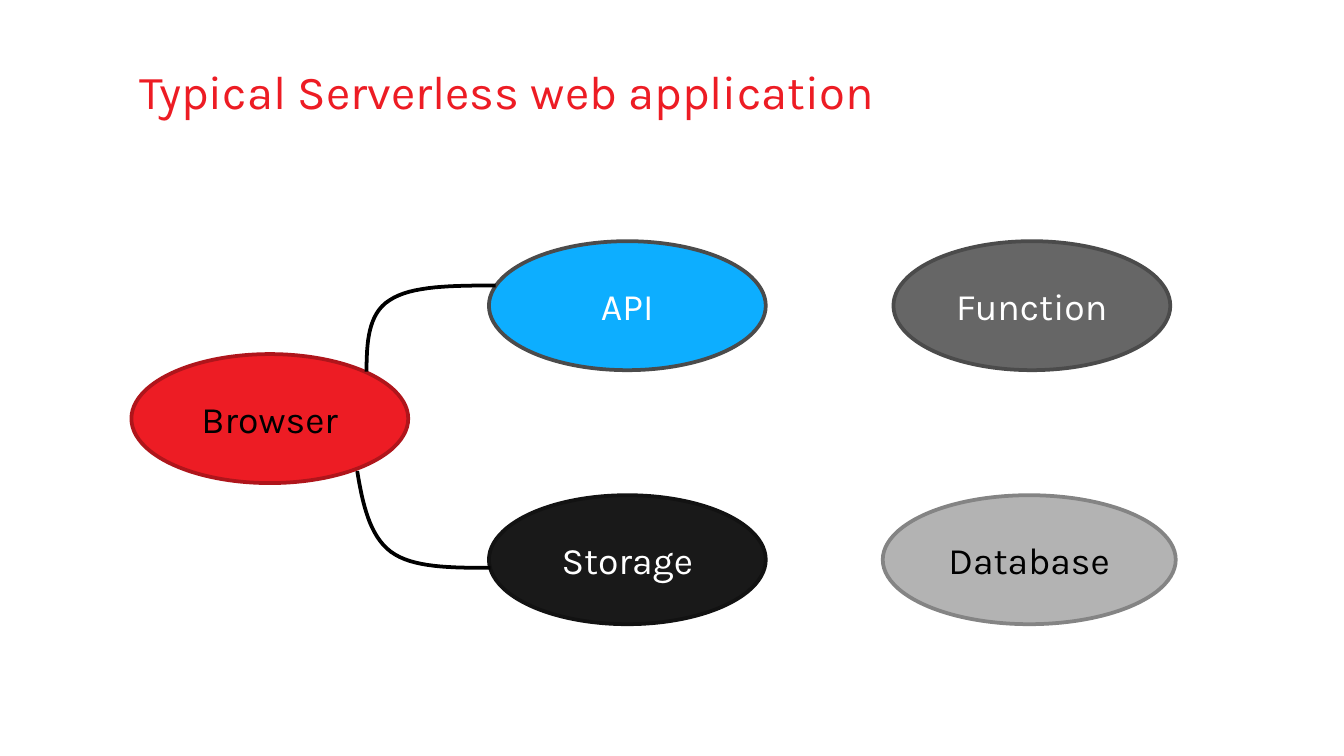
from pptx import Presentation
from pptx.dml.color import RGBColor
from pptx.enum.shapes import MSO_SHAPE
from pptx.enum.text import MSO_ANCHOR, MSO_AUTO_SIZE, PP_ALIGN
from pptx.util import Inches, Pt

ELLIPSE = MSO_SHAPE.OVAL
MIDDLE = MSO_ANCHOR.MIDDLE
NO_AUTOFIT = MSO_AUTO_SIZE.NONE
LEFT, CENTER = PP_ALIGN.LEFT, PP_ALIGN.CENTER

COLORS = {
    "white": "FFFFFF",
    "black": "000000",
    "red": "ED1C24",
    "dark red": "AF151B",
    "blue": "0DAEFF",
    "charcoal": "191919",
    "deep charcoal": "121212",
    "gray": "666666",
    "dark gray": "4B4B4B",
    "light gray": "B3B3B3",
    "mid gray": "848484",
}
FONT = "Karla"
SLIDE_WIDTH = Inches(10)
SLIDE_HEIGHT = SLIDE_WIDTH * 9 // 16
CELL = SLIDE_WIDTH // 100
TITLE_BOX = (9.75, 4.35, 80.5, 4.8)
DIAGRAM_BOX = (9.78, 17.95, 77.7, 28.5)
NODE_WIDTH, WIDE_NODE_WIDTH, NODE_HEIGHT = 20.6, 21.8, 9.6
TOP_ROW, BROWSER_ROW, BOTTOM_ROW = 0, 8.4, 18.9
SERVICE_COLUMN, DATABASE_COLUMN, FUNCTION_COLUMN = 26.6, 55.9, 56.7
CURVE_STEPS = 16

NODES = [
    ("Browser", 0, BROWSER_ROW, NODE_WIDTH, "red", "dark red", "black"),
    ("Storage", SERVICE_COLUMN, BOTTOM_ROW, NODE_WIDTH, "charcoal", "deep charcoal", "white"),
    ("API", SERVICE_COLUMN, TOP_ROW, NODE_WIDTH, "blue", "dark gray", "white"),
    ("Database", DATABASE_COLUMN, BOTTOM_ROW, WIDE_NODE_WIDTH, "light gray", "mid gray", "black"),
    ("Function", FUNCTION_COLUMN, TOP_ROW, NODE_WIDTH, "gray", "dark gray", "white"),
]
BROWSER_TO_STORAGE = [
    (16.8, 17.1), (17.2, 19.5), (17.7, 21.9), (19.3, 23.1),
    (20.9, 24.3), (23.8, 24.3), (26.7, 24.3),
]
BROWSER_TO_API = [
    (17.5, 9.7), (17.5, 7.6), (17.6, 5.4), (19.2, 4.4),
    (20.8, 3.3), (24, 3.3), (27.1, 3.3),
]


def color(name):
    return RGBColor.from_string(COLORS[name])


def cells(value):
    return round(value * CELL)


def format_text(shape, size, color_name, alignment):
    shape.text_frame.vertical_anchor = MIDDLE
    paragraph = shape.text_frame.paragraphs[0]
    paragraph.alignment = alignment
    font = paragraph.runs[0].font
    font.name = FONT
    font.size = Pt(size)
    font.color.rgb = color(color_name)


def set_line(shape, color_name):
    shape.line.color.rgb = color(color_name)
    shape.line.width = Pt(2)
    shape.shadow.inherit = False


def add_title(slide, box):
    title = slide.shapes.title
    title.left, title.top, title.width, title.height = map(cells, box)
    frame = title.text_frame
    frame.text = "Typical Serverless web application"
    frame.auto_size = NO_AUTOFIT
    frame.margin_left = frame.margin_right = Inches(0.06)
    frame.margin_top = frame.margin_bottom = Inches(0.06)
    format_text(title, 25.3, "red", LEFT)


def add_node(slide, box, label, fill, outline, text_color):
    node = slide.shapes.add_shape(ELLIPSE, *map(cells, box))
    node.fill.solid()
    node.fill.fore_color.rgb = color(fill)
    set_line(node, outline)
    node.text_frame.text = label
    format_text(node, 20, text_color, CENTER)


def bezier_point(controls, t):
    weights = ((1 - t) ** 3, 3 * t * (1 - t) ** 2, 3 * t ** 2 * (1 - t), t ** 3)
    return tuple(
        sum(weight * value for weight, value in zip(weights, axis))
        for axis in zip(*controls)
    )


def add_curve(slide, origin, controls):
    points = [
        bezier_point(controls[start:start + 4], step / CURVE_STEPS)
        for start in range(0, len(controls) - 1, 3)
        for step in range(CURVE_STEPS + 1)
    ]
    placed = [(cells(origin[0] + x), cells(origin[1] + y)) for x, y in points]
    builder = slide.shapes.build_freeform(*placed[0])
    builder.add_line_segments(placed[1:], close=False)
    curve = builder.convert_to_shape()
    curve.fill.background()
    set_line(curve, "black")


def add_diagram(slide, box):
    left, top = box[:2]
    for label, column, row, width, *node_colors in NODES:
        node_box = (left + column, top + row, width, NODE_HEIGHT)
        add_node(slide, node_box, label, *node_colors)
    for controls in (BROWSER_TO_STORAGE, BROWSER_TO_API):
        add_curve(slide, (left, top), controls)


def main():
    presentation = Presentation()
    presentation.slide_width = SLIDE_WIDTH
    presentation.slide_height = SLIDE_HEIGHT
    slide = presentation.slides.add_slide(presentation.slide_layouts[5])
    slide.background.fill.solid()
    slide.background.fill.fore_color.rgb = color("white")
    add_title(slide, TITLE_BOX)
    add_diagram(slide, DIAGRAM_BOX)
    presentation.save("out.pptx")


if __name__ == "__main__":
    main()
